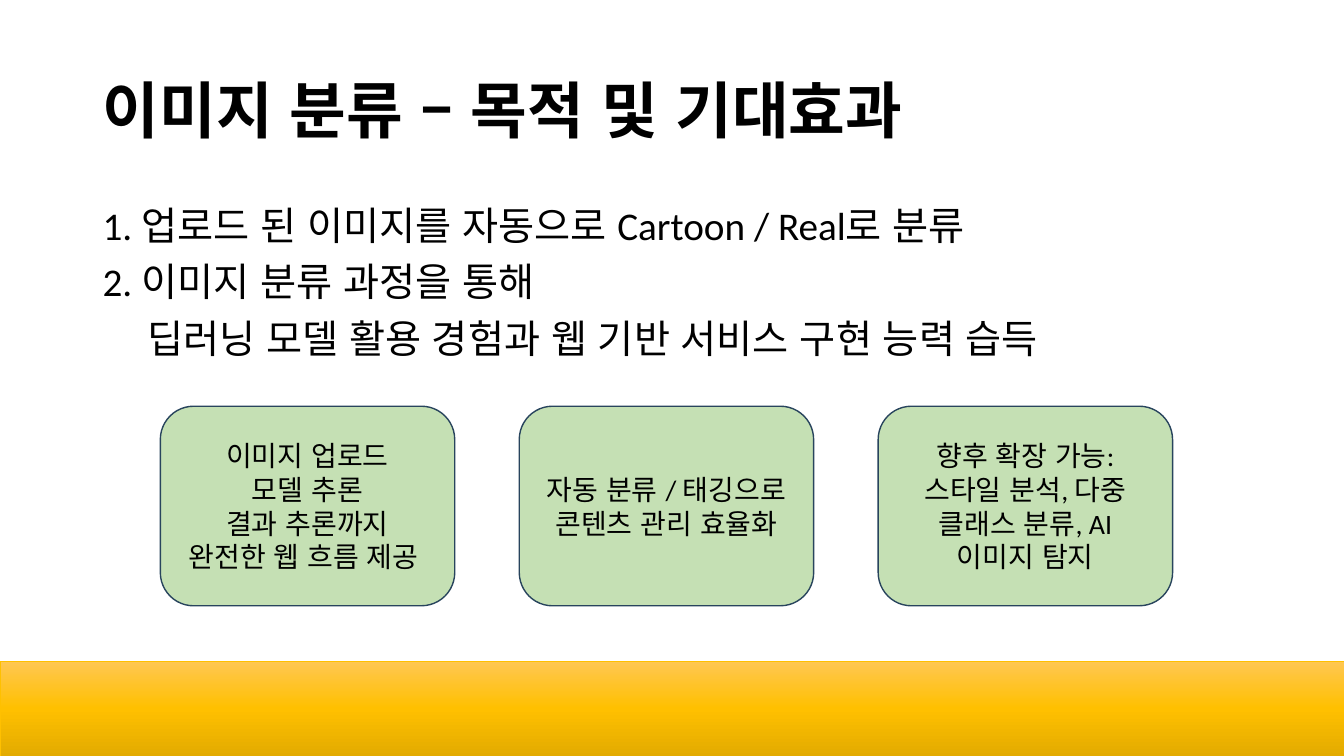
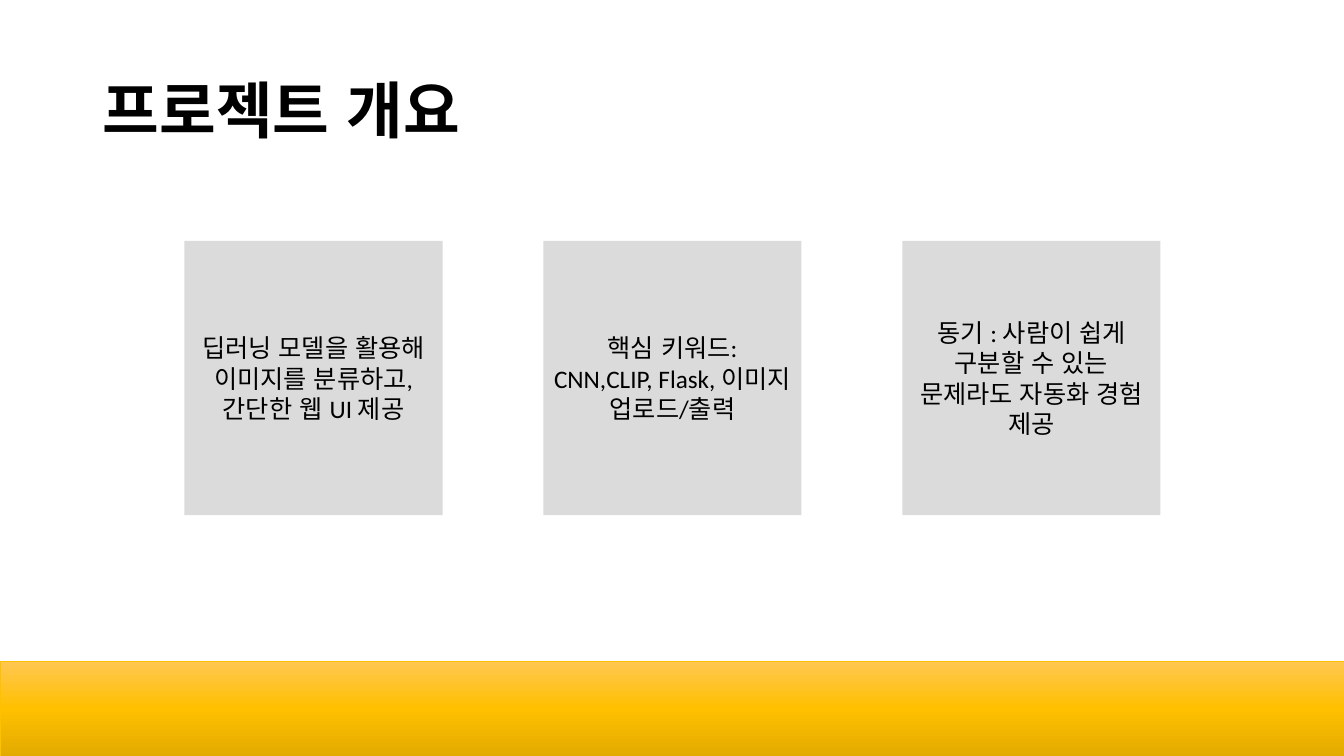
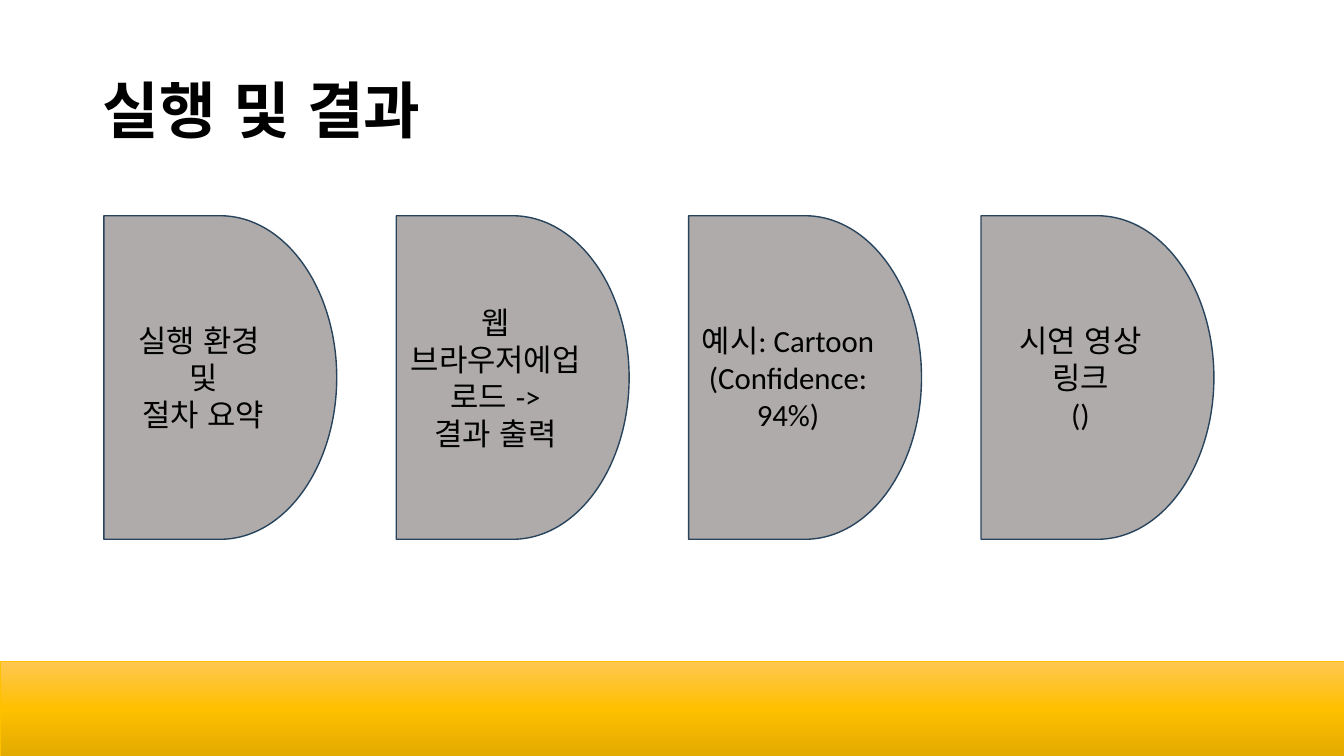
from copy import deepcopy

from pptx import Presentation
from pptx.dml.color import RGBColor
from pptx.enum.lang import MSO_LANGUAGE_ID
from pptx.enum.shapes import MSO_SHAPE
from pptx.enum.text import MSO_ANCHOR, PP_ALIGN
from pptx.oxml.ns import qn
from pptx.util import Inches, Pt

ROUNDED = MSO_SHAPE.ROUNDED_RECTANGLE
RECTANGLE = MSO_SHAPE.RECTANGLE
DELAY = MSO_SHAPE.FLOWCHART_DELAY
TOP = MSO_ANCHOR.TOP
MIDDLE = MSO_ANCHOR.MIDDLE
CENTER = PP_ALIGN.CENTER
KOREAN = MSO_LANGUAGE_ID.KOREAN

BLACK = RGBColor(0x00, 0x00, 0x00)
GREEN = RGBColor(0xC5, 0xE0, 0xB4)
LIGHT_GRAY = RGBColor(0xDB, 0xDB, 0xDB)
GRAY = RGBColor(0xAF, 0xAB, 0xAB)
NAVY = RGBColor(0x28, 0x44, 0x5D)
GOLD = RGBColor(0xFF, 0xC0, 0x00)
LIGHT_GOLD = RGBColor(0xFF, 0xC7, 0x52)
DARK_GOLD = RGBColor(0xE3, 0xAB, 0x00)

FONT = "Calibri"
SLIDE_WIDTH = 13.33
SLIDE_HEIGHT = 7.5
BAND_HEIGHT = 0.94
TEXT_LEFT = 0.92
TEXT_WIDTH = 11.5


def write_lines(frame, lines, size, anchor, bold=False):
    frame.word_wrap = True
    frame.vertical_anchor = anchor
    frame.text = "\n".join(lines)
    for paragraph in frame.paragraphs:
        for span in paragraph.runs:
            span.font.name = FONT
            span.font.size = Pt(size)
            span.font.bold = bold
            span.font.color.rgb = BLACK
            span.font.language_id = KOREAN


def add_text(page, top, height, lines, size, anchor, bold=False):
    box = page.shapes.add_textbox(
        Inches(TEXT_LEFT), Inches(top), Inches(TEXT_WIDTH), Inches(height))
    write_lines(box.text_frame, lines, size, anchor, bold)
    for paragraph in box.text_frame.paragraphs:
        paragraph.line_spacing = 0.9
    return box


def add_band(page):
    band = page.shapes.add_shape(
        RECTANGLE, 0, Inches(SLIDE_HEIGHT - BAND_HEIGHT),
        Inches(SLIDE_WIDTH), Inches(BAND_HEIGHT))
    band.shadow.inherit = False
    band.line.color.rgb = GOLD
    band.line.width = Pt(0.5)
    band.fill.gradient()
    band.fill.gradient_angle = 270
    stop_list = band._element.spPr.find(".//" + qn("a:gsLst"))
    stop_list.append(deepcopy(stop_list[0]))
    colors = (LIGHT_GOLD, GOLD, DARK_GOLD)
    for index, (stop, color) in enumerate(zip(band.fill.gradient_stops, colors)):
        stop.position = index / 2
        stop.color.rgb = color


def add_page(deck, title):
    page = deck.slides.add_slide(deck.slide_layouts[6])
    add_text(page, 0.4, 1.45, [title], 44, MIDDLE, bold=True)
    add_band(page)
    return page


def add_body(page, lines, indented_line):
    body = add_text(page, 2, 4.76, lines, 28, TOP)
    for paragraph in body.text_frame.paragraphs:
        paragraph.space_before = Pt(10)
    properties = body.text_frame.paragraphs[indented_line]._p.get_or_add_pPr()
    properties.set("marL", str(Inches(0.44)))


def add_card_row(page, kind, place, step, size, fill, outline, font_size, cards):
    left, top = place
    width, height = size
    for index, lines in enumerate(cards):
        card = page.shapes.add_shape(
            kind, Inches(left + index * step), Inches(top),
            Inches(width), Inches(height))
        card.shadow.inherit = False
        card.fill.solid()
        card.fill.fore_color.rgb = fill
        if outline is None:
            card.line.fill.background()
        else:
            card.line.color.rgb = outline
            card.line.width = Pt(1)
        write_lines(card.text_frame, lines, font_size, MIDDLE)
        for paragraph in card.text_frame.paragraphs:
            paragraph.alignment = CENTER


def build_purpose(deck):
    page = add_page(deck, "이미지 분류 – 목적 및 기대효과")
    add_body(page, [
        "1. 업로드 된 이미지를 자동으로 Cartoon / Real로 분류",
        "2. 이미지 분류 과정을 통해",
        "딥러닝 모델 활용 경험과 웹 기반 서비스 구현 능력 습득",
    ], indented_line=2)
    add_card_row(page, ROUNDED, (1.59, 4.03), 3.56, (2.92, 1.98), GREEN, NAVY, 20, [
        ["이미지 업로드", "모델 추론", "결과 추론까지", "완전한 웹 흐름 제공 "],
        ["자동 분류 / 태깅으로", "콘텐츠 관리 효율화"],
        ["향후 확장 가능: 스타일 분석, 다중 클래스 분류, AI 이미지 탐지"],
    ])


def build_overview(deck):
    page = add_page(deck, "프로젝트 개요")
    add_card_row(page, RECTANGLE, (1.83, 2.39), 3.56, (2.56, 2.72), LIGHT_GRAY, None, 18, [
        ["딥러닝 모델을 활용해 이미지를 분류하고,", "간단한 웹 UI 제공"],
        ["핵심 키워드:", "CNN,CLIP, Flask, 이미지 업로드/출력"],
        ["동기 : 사람이 쉽게 구분할 수 있는 문제라도 자동화 경험 제공"],
    ])


def build_results(deck):
    page = add_page(deck, "실행 및 결과")
    add_card_row(page, DELAY, (1.03, 2.14), 2.9, (2.31, 3.21), GRAY, NAVY, 22, [
        ["실행 환경 ", "및", "절차 요약"],
        ["웹 브라우저에업로드 ->", "결과 출력"],
        ["예시: Cartoon (Confidence: 94%)"],
        ["시연 영상 링크", "()"],
    ])


def main():
    deck = Presentation()
    deck.slide_width = Inches(SLIDE_WIDTH)
    deck.slide_height = Inches(SLIDE_HEIGHT)
    build_purpose(deck)
    build_overview(deck)
    build_results(deck)
    deck.save("out.pptx")


if __name__ == "__main__":
    main()
